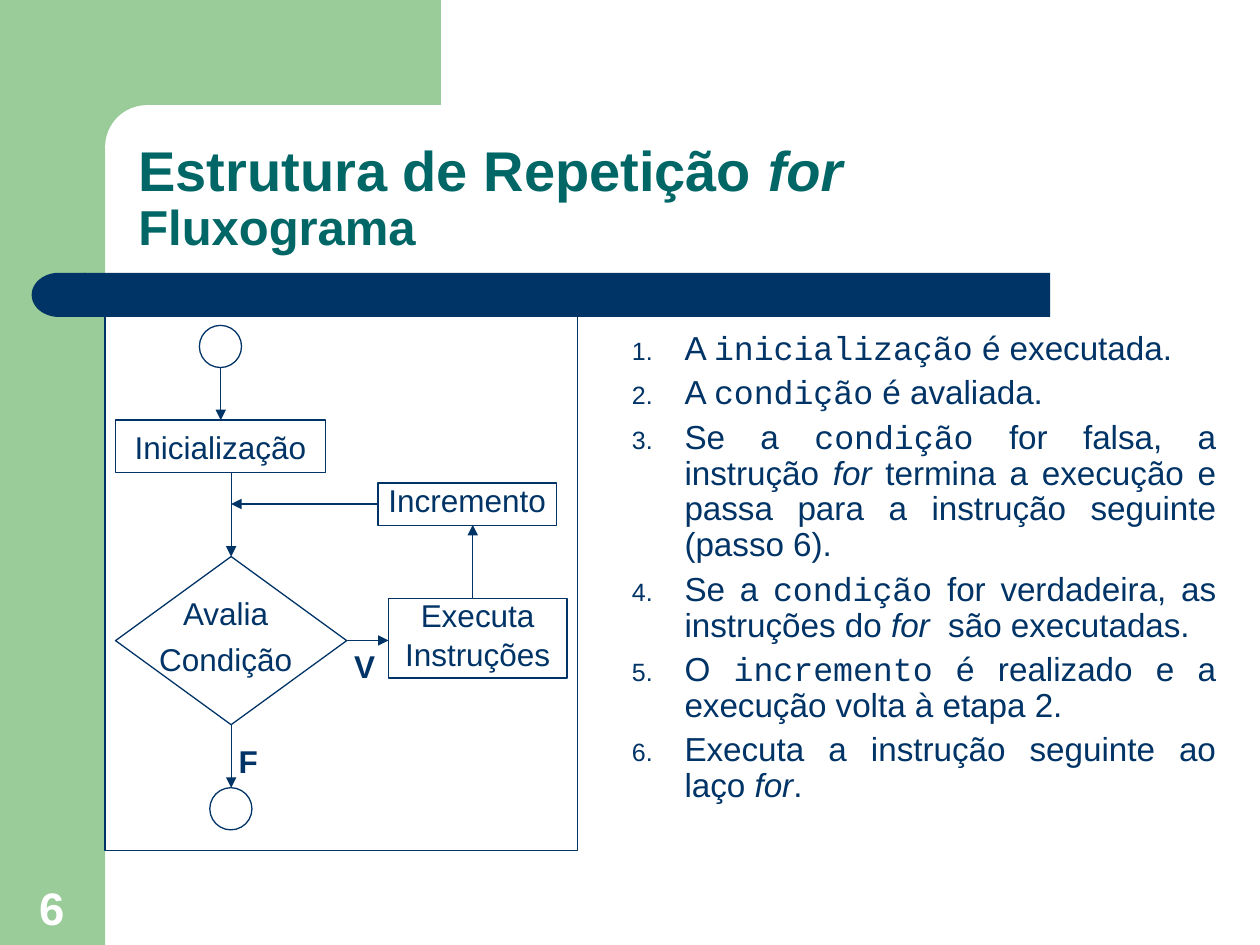
from dataclasses import dataclass

from lxml import etree
from pptx import Presentation
from pptx.dml.color import RGBColor
from pptx.enum import shapes, text
from pptx.oxml import ns
from pptx.util import Cm, Pt

NAVY = RGBColor(0x00, 0x33, 0x66)
GREEN = RGBColor(0x99, 0xCC, 0x99)
TEAL = RGBColor(0x00, 0x66, 0x66)
WHITE = RGBColor(0xFF, 0xFF, 0xFF)

Kind = shapes.MSO_SHAPE
Align = text.PP_ALIGN
Anchor = text.MSO_ANCHOR


@dataclass(frozen=True)
class Box:
    """Position and size in centimetres."""
    left: float
    top: float
    width: float
    height: float

    def lengths(self):
        return Cm(self.left), Cm(self.top), Cm(self.width), Cm(self.height)


@dataclass(frozen=True)
class Run:
    text: str
    font: str = "Arial"
    italic: bool = False
    size: float | None = None


@dataclass(frozen=True)
class Arrow:
    start: tuple[float, float]
    end: tuple[float, float]


def code(words: str) -> Run:
    return Run(words, font="Courier New")


BREAK = Run("\n")
FOR = Run("for", italic=True)

BANDS = [
    (Kind.RECTANGLE, Box(0, 0, 2.12, 19.05), GREEN, None),
    (Kind.RECTANGLE, Box(1.9, 0, 6.99, 2.96), GREEN, None),
    (Kind.ROUNDED_RECTANGLE, Box(2.12, 2.12, 14.18, 1.69), WHITE, 0.5),
    (Kind.RECTANGLE, Box(1.69, 5.5, 19.48, 0.89), NAVY, None),
]

STEPS = [
    [Run("A "), code("inicialização"), Run(" é executada.")],
    [Run("A "), code("condição"), Run(" é avaliada.")],
    [Run("Se a "), code("condição"), Run(" for falsa, a instrução "), FOR,
     Run(" termina a execução e passa para a instrução seguinte (passo 6).")],
    [Run("Se a "), code("condição"), Run(" for verdadeira, as instruções do "), FOR,
     Run("  são executadas.")],
    [Run("O "), code("incremento"), Run(" é realizado e a execução volta à etapa 2.")],
    [Run("Executa a instrução seguinte ao laço "), FOR, Run(".")],
]

OUTLINES = [
    (Kind.RECTANGLE, Box(2.12, 6.35, 9.53, 10.8)),
    (Kind.OVAL, Box(4.02, 6.56, 0.85, 0.85)),
    (Kind.OVAL, Box(4.23, 15.88, 0.85, 0.85)),
    (Kind.DIAMOND, Box(2.33, 11.22, 4.66, 3.39)),
]

ARROWS = [
    Arrow((6.99, 12.91), (7.83, 12.91)),
    Arrow((4.45, 7.41), (4.45, 8.47)),
    Arrow((4.66, 9.53), (4.66, 11.22)),
    Arrow((4.66, 14.61), (4.66, 15.88)),
    Arrow((9.53, 12.07), (9.53, 10.58)),
    Arrow((7.62, 10.16), (4.66, 10.16)),
]


def add_number(paragraph):
    """Number the paragraph automatically, with a hanging indent."""
    properties = paragraph._p.get_or_add_pPr()
    properties.set("marL", str(Cm(1.06)))
    properties.set("indent", str(-Cm(1.06)))
    etree.SubElement(properties, ns.qn("a:buSzPct"), val="75000")
    etree.SubElement(properties, ns.qn("a:buAutoNum"), type="arabicPeriod")


def write_text(shape, paragraphs: list[list[Run]], *, size: float = 18, color=NAVY,
               bold: bool = False, align=Align.LEFT, anchor=Anchor.TOP,
               line_spacing: float = 1.0, space_before: float = 0,
               side_inset: float = 0.25, wrap: bool = True, numbered: bool = False):
    frame = shape.text_frame
    frame.word_wrap = wrap
    frame.vertical_anchor = anchor
    frame.margin_left = frame.margin_right = Cm(side_inset)
    frame.margin_top = frame.margin_bottom = Cm(0.13)
    for index, runs in enumerate(paragraphs):
        paragraph = frame.add_paragraph() if index else frame.paragraphs[0]
        if numbered:
            add_number(paragraph)
        paragraph.alignment = align
        paragraph.line_spacing = line_spacing
        paragraph.space_before = Pt(space_before if index else 0)
        for part in runs:
            if part == BREAK:
                paragraph.add_line_break()
                continue
            run = paragraph.add_run()
            run.text = part.text
            run.font.name = part.font
            run.font.size = Pt(part.size or size)
            run.font.bold = bold
            run.font.italic = part.italic
            run.font.color.rgb = color


def add_filled(slide, kind, box: Box, color, rounding: float | None = None):
    shape = slide.shapes.add_shape(kind, *box.lengths())
    shape.shadow.inherit = False
    shape.fill.solid()
    shape.fill.fore_color.rgb = color
    shape.line.fill.background()
    if rounding is not None:
        shape.adjustments[0] = rounding
    return shape


def add_outline(slide, kind, box: Box):
    shape = slide.shapes.add_shape(kind, *box.lengths())
    shape.shadow.inherit = False
    shape.fill.background()
    shape.line.color.rgb = NAVY
    shape.line.width = Pt(0.75)
    return shape


def add_label(slide, box: Box, paragraphs: list[list[Run]], **text_format):
    label = slide.shapes.add_textbox(*box.lengths())
    write_text(label, paragraphs, **text_format)


def add_arrow(slide, arrow: Arrow):
    ends = [Cm(value) for value in arrow.start + arrow.end]
    connector = slide.shapes.add_connector(shapes.MSO_CONNECTOR.STRAIGHT, *ends)
    connector.line.color.rgb = NAVY
    connector.line.width = Pt(0.75)
    etree.SubElement(connector.line._get_or_add_ln(), ns.qn("a:tailEnd"), type="triangle")
    etree.SubElement(connector._element.spPr, ns.qn("a:effectLst"))


def add_flowchart(slide):
    for kind, box in OUTLINES:
        add_outline(slide, kind, box)

    start = add_outline(slide, Kind.RECTANGLE, Box(2.33, 8.47, 4.23, 1.06))
    write_text(start, [[Run("Inicialização")]], align=Align.CENTER,
               anchor=Anchor.MIDDLE, wrap=False)
    add_label(slide, Box(2.96, 11.85, 3.18, 1.96), [[Run("Avalia")], [Run("Condição")]],
              align=Align.CENTER, space_before=4.5, side_inset=0.05, wrap=False)

    actions = [
        (Box(7.83, 12.07, 3.6, 1.6), ["Executa", "Instruções"]),
        (Box(7.62, 9.74, 3.6, 0.85), ["Incremento"]),
    ]
    for box, lines in actions:
        action = add_outline(slide, Kind.RECTANGLE, box)
        write_text(action, [[Run(line)] for line in lines], align=Align.CENTER,
                   line_spacing=0.75, space_before=5.6, side_inset=0.15)

    for arrow in ARROWS:
        add_arrow(slide, arrow)
    for letter, box in [("V", Box(6.99, 12.91, 0.85, 1.02)),
                        ("F", Box(4.66, 14.82, 1.06, 1.02))]:
        add_label(slide, box, [[Run(letter)]], bold=True, side_inset=0.15)


def main():
    presentation = Presentation()
    presentation.slide_width, presentation.slide_height = Cm(25.4), Cm(19.05)
    slide = presentation.slides.add_slide(presentation.slide_layouts[6])

    for kind, box, color, rounding in BANDS:
        add_filled(slide, kind, box, color, rounding)
    cap = add_filled(slide, Kind.FLOWCHART_DELAY, Box(0.64, 5.5, 1.09, 0.89), NAVY)
    cap._element.spPr.xfrm.set("flipH", "1")

    title = [Run("Estrutura de Repetição "), FOR, BREAK, Run("Fluxograma", size=28)]
    add_label(slide, Box(2.54, 2.12, 22.23, 3.18), [title], size=32, color=TEAL,
              bold=True, anchor=Anchor.BOTTOM, line_spacing=0.9)
    add_label(slide, Box(12.49, 6.56, 12.28, 10.37), STEPS, size=19, align=Align.JUSTIFY,
              line_spacing=0.9, space_before=4.8, numbered=True)
    add_flowchart(slide)
    add_label(slide, Box(0.23, 16.51, 1.63, 2.46), [[Run("6")]], size=26, color=WHITE,
              bold=True, align=Align.CENTER, anchor=Anchor.BOTTOM)

    presentation.save("out.pptx")


if __name__ == "__main__":
    main()
